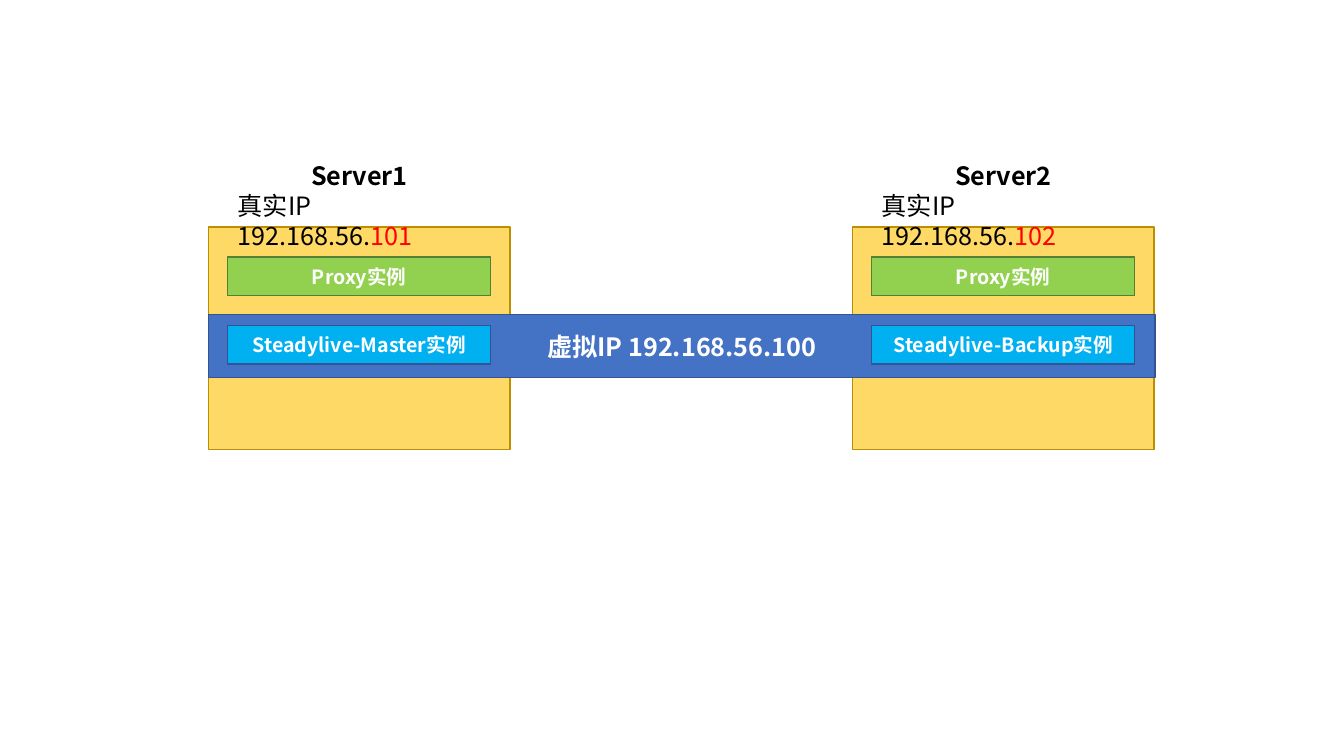
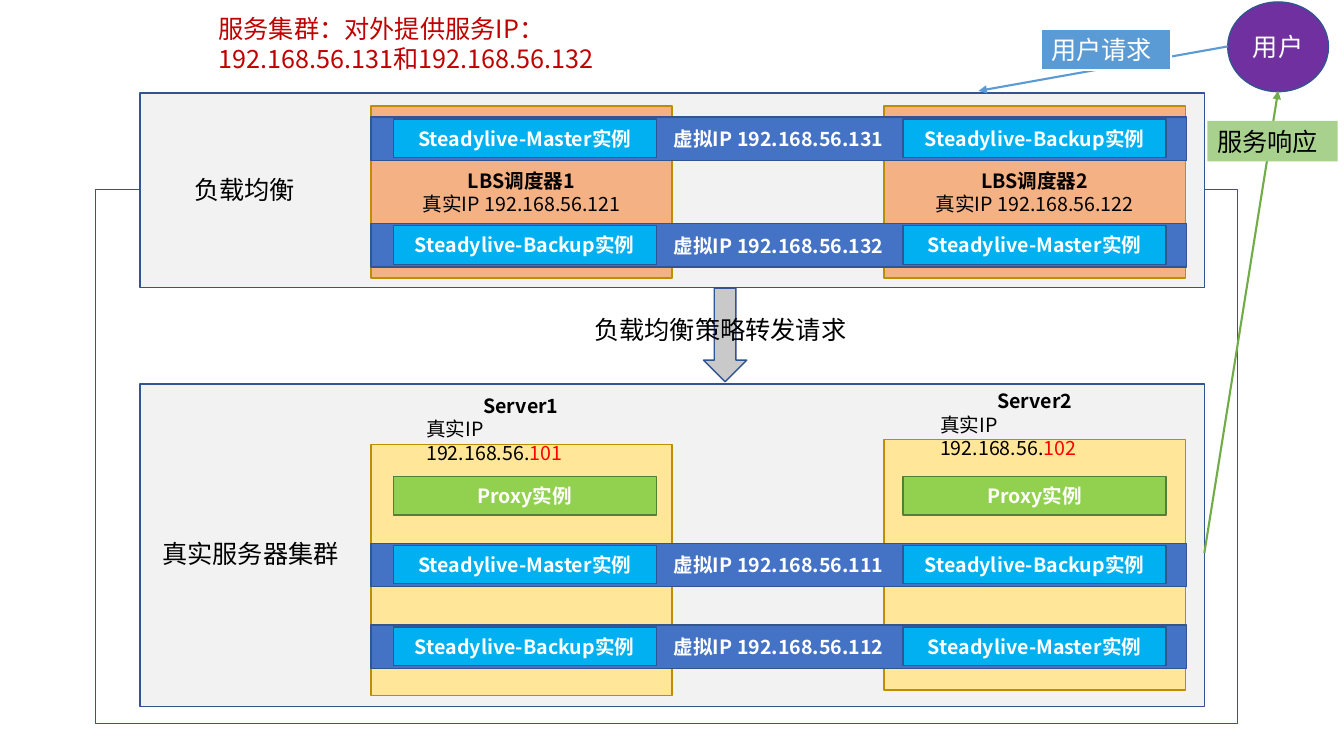
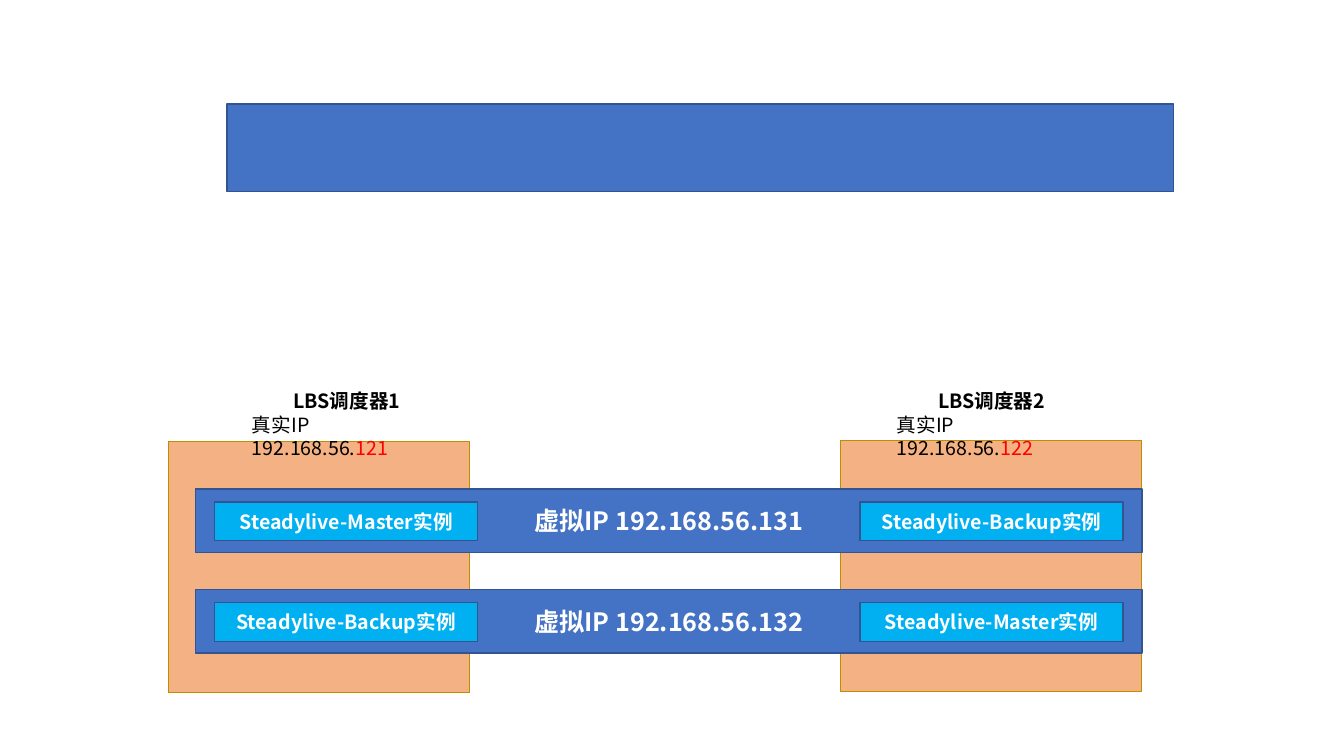
from pptx import Presentation
from pptx.dml.color import RGBColor
from pptx.enum.shapes import MSO_CONNECTOR, MSO_SHAPE
from pptx.enum.text import MSO_ANCHOR, PP_ALIGN
from pptx.oxml.ns import qn
from pptx.util import Cm, Pt
from lxml.etree import SubElement

# Shared style
FONT = "Noto Sans CJK SC"
WHITE, BLACK, RED = "FFFFFF", "000000", "FF0000"
BLUE, NAVY, CYAN = "4472C4", "325491", "00B0F0"
GREEN, DARK_GREEN = "92D050", "538035"
GOLD, LIGHT_GOLD, DARK_GOLD = "FFD966", "FFE699", "BD8E00"
ORANGE, GREY, SILVER = "F4B183", "F2F2F2", "C9C9C9"
CHIP_W, CHIP_H = 6.63, 0.97
HOST_W = 7.59
MASTER, BACKUP = "Steadylive-Master实例", "Steadylive-Backup实例"

presentation = Presentation()
presentation.slide_width, presentation.slide_height = Cm(33.87), Cm(19.05)
pair_slide, cluster_slide, scheduler_slide = [
    presentation.slides.add_slide(presentation.slide_layouts[6]) for _ in range(3)]


def box(slide, bounds, fill=None, line=None, paragraphs=(), size=14,
        align=PP_ALIGN.CENTER, anchor=MSO_ANCHOR.MIDDLE,
        kind=MSO_SHAPE.RECTANGLE, line_width=1):
    """Draw a filled shape or, without a fill, a text box.

    Each paragraph is a list of (text, colour, bold) runs. In top-anchored
    text, paragraphs after the first are aligned left.
    """
    place = [Cm(value) for value in bounds]
    if fill:
        item = slide.shapes.add_shape(kind, *place)
        item.shadow.inherit = False
        item.fill.solid()
        item.fill.fore_color.rgb = RGBColor.from_string(fill)
        if line:
            item.line.color.rgb = RGBColor.from_string(line)
            item.line.width = Pt(line_width)
        else:
            item.line.fill.background()
    else:
        item = slide.shapes.add_textbox(*place)
    frame = item.text_frame
    frame.word_wrap = True
    frame.vertical_anchor = anchor
    for index, runs in enumerate(paragraphs):
        paragraph = frame.add_paragraph() if index else frame.paragraphs[0]
        keeps_align = index == 0 or anchor == MSO_ANCHOR.MIDDLE
        paragraph.alignment = align if keeps_align else PP_ALIGN.LEFT
        for text, colour, bold in runs:
            run = paragraph.add_run()
            run.text = text
            run.font.size, run.font.bold, run.font.name = Pt(size), bold, FONT
            run.font.color.rgb = RGBColor.from_string(colour)
            SubElement(run.font._element, qn("a:ea"), typeface=FONT)


def virtual_ip(slide, bounds, number, size, chip_lefts, chip_drop, roles):
    """Draw a virtual IP band with its two instances."""
    box(slide, bounds, BLUE, NAVY,
        [[(f"虚拟IP 192.168.56.{number}", WHITE, True)]], size)
    for left, role in zip(chip_lefts, roles):
        box(slide, (left, bounds[1] + chip_drop, CHIP_W, CHIP_H), CYAN, NAVY,
            [[(role, WHITE, True)]])


# Hosts of all slides:
# slide, host (left, top, height), colour, caption (left, top, width, height),
# name, address, text size, web instance (left, top)
hosts = [
    (pair_slide, (5.26, 5.72, 5.61), GOLD, (5.74, 3.91, 6.63, 1.8),
     "Server1", "101", 18, (5.74, 6.48)),
    (pair_slide, (21.49, 5.72, 5.61), GOLD, (21.97, 3.91, 6.63, 1.8),
     "Server2", "102", 18, (21.97, 6.48)),
    (cluster_slide, (9.35, 11.2, 6.32), LIGHT_GOLD, (10.49, 9.8, 5.28, 1.45),
     "Server1", "101", 14, (9.91, 12.01)),
    (cluster_slide, (22.28, 11.07, 6.32), LIGHT_GOLD, (23.44, 9.68, 5.28, 1.45),
     "Server2", "102", 14, (22.76, 12.01)),
    (scheduler_slide, (4.24, 11.13, 6.32), ORANGE, (6.1, 9.68, 5.28, 1.45),
     "LBS调度器1", "121", 14, None),
    (scheduler_slide, (21.18, 11.1, 6.32), ORANGE, (22.35, 9.68, 5.28, 1.45),
     "LBS调度器2", "122", 14, None),
]

# Cluster frames lie behind the hosts
box(cluster_slide, (2.41, 4.78, 28.78, 13.46), WHITE, NAVY)
for top, height in [(2.34, 4.9), (9.68, 8.13)]:
    box(cluster_slide, (3.53, top, 26.82, height), GREY, NAVY)

for slide, (left, top, height), colour, caption, name, number, size, web in hosts:
    box(slide, (left, top, HOST_W, height), colour, DARK_GOLD)
    box(slide, caption, paragraphs=[
        [(name, BLACK, True)],
        [("真实IP 192.168.56.", BLACK, False), (number, RED, False)],
    ], size=size, anchor=MSO_ANCHOR.TOP)
    if web:
        box(slide, (*web, CHIP_W, CHIP_H), GREEN, DARK_GREEN,
            [[("Proxy实例", WHITE, True)]])

# Slide 1: one virtual IP
virtual_ip(pair_slide, (5.26, 7.92, 23.85, 1.6), 100, 18,
           (5.74, 21.97), 0.28, (MASTER, BACKUP))

# Slide 2: schedulers and virtual IPs
for left, index in [(9.35, 1), (22.28, 2)]:
    box(cluster_slide, (left, 2.67, HOST_W, 4.34), ORANGE, DARK_GOLD, [
        [(f"LBS调度器{index}", BLACK, True)],
        [(f"真实IP 192.168.56.12{index}", BLACK, False)],
    ])
for top, number, roles in [
    (13.69, 111, (MASTER, BACKUP)), (15.75, 112, (BACKUP, MASTER)),
    (2.95, 131, (MASTER, BACKUP)), (5.64, 132, (BACKUP, MASTER)),
]:
    virtual_ip(cluster_slide, (9.35, top, 20.55, 1.09), number, 14,
               (9.91, 22.76), 0.05, roles)

# Slide 2: user, request and response
box(cluster_slide, (30.94, 0.05, 2.54, 2.26), "7030A0", NAVY,
    [[("用户", WHITE, False)]], 18, kind=MSO_SHAPE.OVAL)
for start, end, colour in [
    ((30.94, 1.17), (24.66, 2.29), "5B9BD5"),
    ((30.35, 13.94), (32.21, 2.29), "70AD47"),
]:
    arrow = cluster_slide.shapes.add_connector(
        MSO_CONNECTOR.STRAIGHT, *[Cm(value) for value in start + end])
    arrow.line.color.rgb = RGBColor.from_string(colour)
    arrow.line.width = Pt(1.5)
    SubElement(arrow.line._get_or_add_ln(), qn("a:tailEnd"), type="triangle")
    SubElement(arrow._element.spPr, qn("a:effectLst"))
box(cluster_slide, (17.73, 7.26, 1.09, 2.36), SILVER, NAVY,
    kind=MSO_SHAPE.DOWN_ARROW)

# Slide 2: labels
for bounds, text, colour, fill, line in [
    ((4.65, 4.27, 3.51, 1.02), "负载均衡", BLACK, None, None),
    ((3.84, 13.44, 5.08, 1.02), "真实服务器集群", BLACK, None, None),
    ((5.26, 0.2, 10.52, 1.8),
     "服务集群：对外提供服务IP：192.168.56.131和192.168.56.132", "C00000", None, None),
    ((26.24, 0.74, 3.28, 1.02), "用户请求", WHITE, "5B9BD5", WHITE),
    ((30.43, 3.05, 3.28, 1.02), "服务响应", BLACK, "A9D18E", None),
    ((14.73, 7.8, 7.09, 1.02), "负载均衡策略转发请求", BLACK, None, None),
]:
    box(cluster_slide, bounds, fill, line, [[(text, colour, False)]], 18,
        PP_ALIGN.LEFT, MSO_ANCHOR.TOP, line_width=1.5)

# Slide 3: two virtual IPs and an empty band
for top, number, roles in [
    (12.32, 131, (MASTER, BACKUP)), (14.86, 132, (BACKUP, MASTER)),
]:
    virtual_ip(scheduler_slide, (4.93, top, 23.85, 1.6), number, 18,
               (5.41, 21.67), 0.33, roles)
box(scheduler_slide, (5.72, 2.62, 23.85, 2.21), BLUE, NAVY)

presentation.save("out.pptx")
